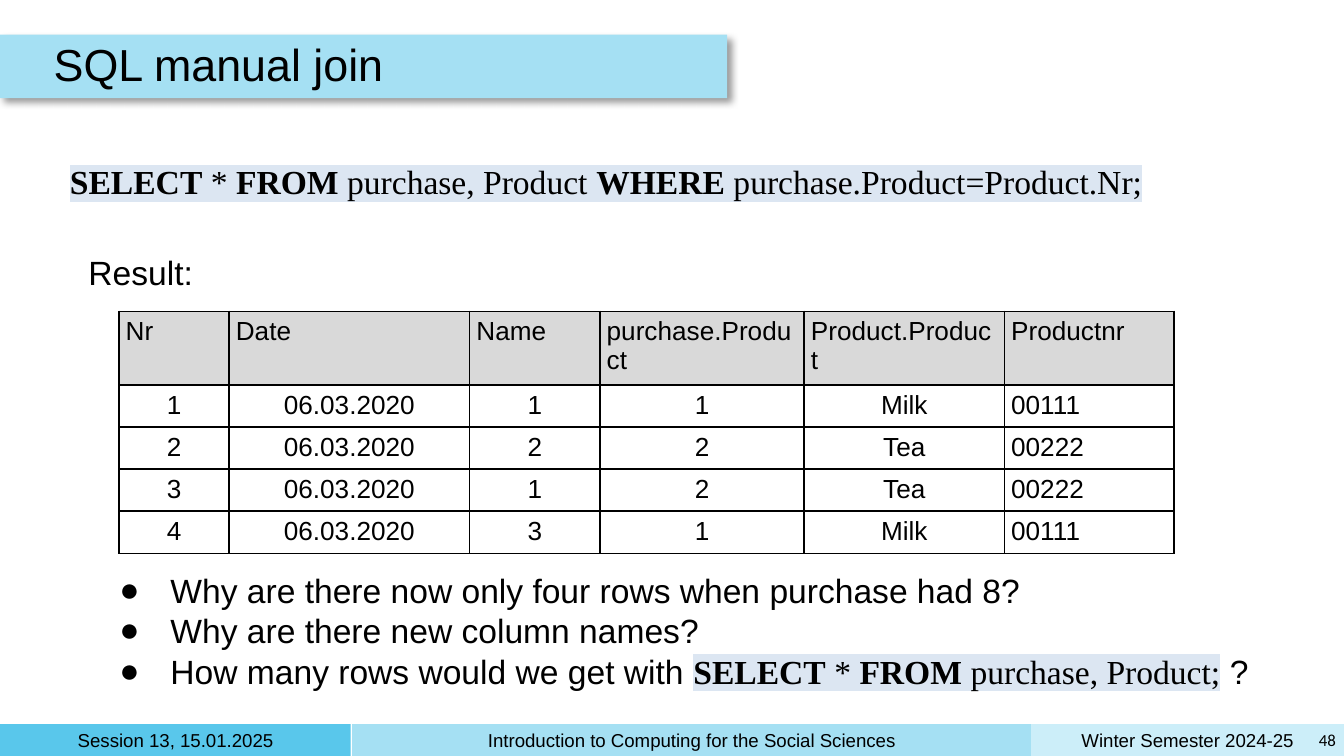
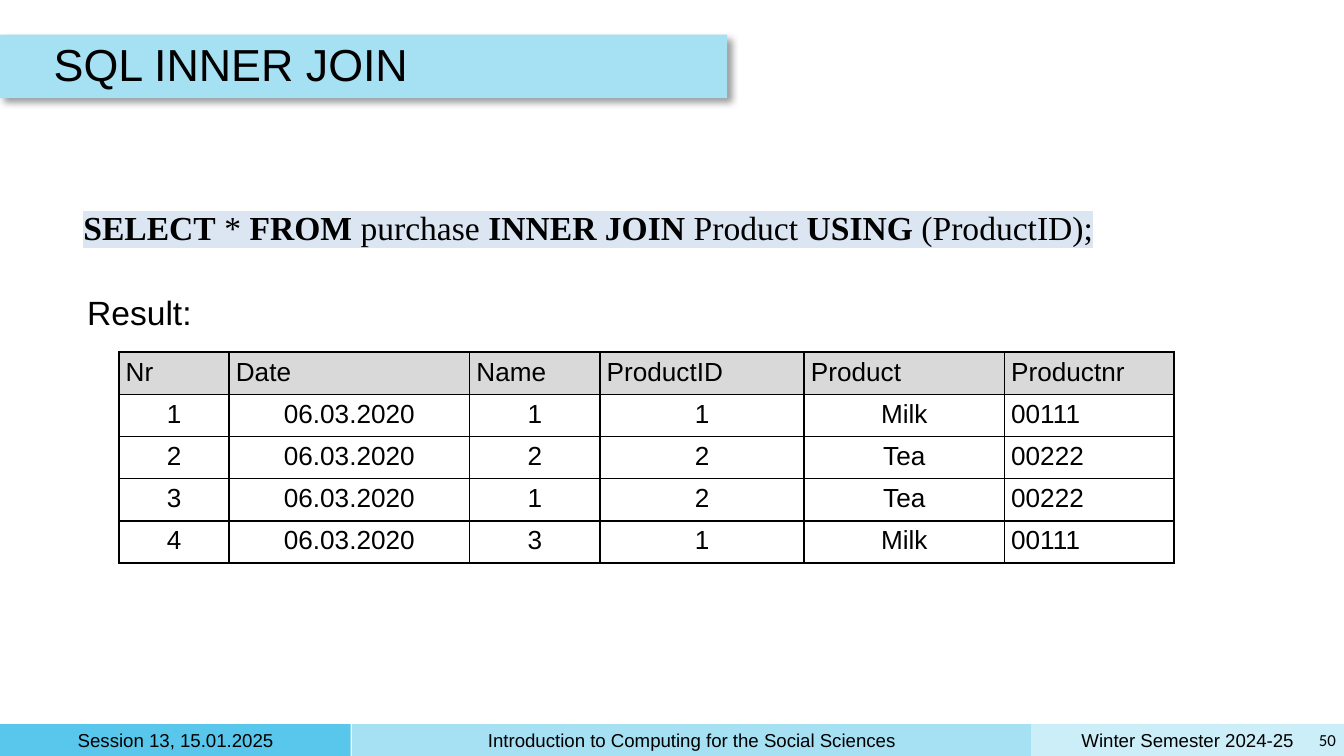
"""Build two lecture slides on joining SQL tables."""

from lxml import etree
from pptx import Presentation
from pptx.dml.color import RGBColor
from pptx.enum.shapes import MSO_SHAPE
from pptx.enum.text import MSO_ANCHOR, MSO_AUTO_SIZE, PP_ALIGN
from pptx.oxml import parse_xml
from pptx.oxml.ns import nsdecls, qn
from pptx.util import Inches, Pt

RECTANGLE = MSO_SHAPE.RECTANGLE
TOP, MIDDLE = MSO_ANCHOR.TOP, MSO_ANCHOR.MIDDLE
LEFT, CENTER, RIGHT = PP_ALIGN.LEFT, PP_ALIGN.CENTER, PP_ALIGN.RIGHT
GROW = MSO_AUTO_SIZE.SHAPE_TO_FIT_TEXT

BLACK = RGBColor(0x00, 0x00, 0x00)
WHITE = RGBColor(0xFF, 0xFF, 0xFF)
HEADER_GRAY = RGBColor(0xD9, 0xD9, 0xD9)
STRONG_BLUE = RGBColor(0x59, 0xC7, 0xEB)
BAND_BLUE = RGBColor(0xA5, 0xE0, 0xF3)
PALE_BLUE = RGBColor(0xCC, 0xEE, 0xF9)
CODE_BLUE = RGBColor(0xDC, 0xE6, 0xF2)

TEXT_FONT, CODE_FONT, NUMBER_FONT = "Arial", "Times New Roman", "Calibri"

SLIDE_WIDTH, SLIDE_HEIGHT = Inches(10), Inches(5.625)
COLUMN, ROW = SLIDE_WIDTH / 100, SLIDE_HEIGHT / 100

FOOTER_TOP, FOOTER_ROWS = 95.8, 4.2
FOOTERS = [
    (76.7, 23.3, PALE_BLUE, "Winter Semester 2024-25"),
    (0, 26.1, STRONG_BLUE, "Session 13, 15.01.2025"),
    (26.2, 50.5, BAND_BLUE, "Introduction to Computing for the Social Sciences"),
]
TABLE_COLUMNS = [8.2, 17.9, 9.7, 15.2, 14.9, 12.6]
TABLE_ROWS = [5.2, 5.3, 5.3, 5.3, 5.3]
PURCHASES = [
    ["1", "06.03.2020", "1", "1", "Milk", "00111"],
    ["2", "06.03.2020", "2", "2", "Tea", "00222"],
    ["3", "06.03.2020", "1", "2", "Tea", "00222"],
    ["4", "06.03.2020", "3", "1", "Milk", "00111"],
]
SLIDES = [
    {
        "title": "SQL manual join",
        "number": "48",
        "query": ["SELECT", " * ", "FROM", " purchase, Product ", "WHERE", " purchase.Product=Product.Nr;"],
        "query_box": (4.7, 20.4, 91.9, 7.1),
        "result_box": (5.6, 31.5, 60.2, 8.9),
        "table_top": 41.2,
        "header": ["Nr", "Date", "Name", "purchase.Product", "Product.Product", "Productnr"],
        "questions": [
            ("Why are there now only four rows when purchase had 8?", [], ""),
            ("Why are there new column names?", [], ""),
            ("How many rows would we get with ", ["SELECT", " * ", "FROM", " purchase, Product;"], " ?"),
        ],
    },
    {
        "title": "SQL INNER JOIN",
        "number": "50",
        "query": ["SELECT", " * ", "FROM", " purchase ", "INNER JOIN", " Product ", "USING", " (ProductID);"],
        "query_box": (5.7, 26.5, 91.9, 12.8),
        "result_box": (5.5, 36.8, 60.2, 8.9),
        "table_top": 46.6,
        "header": ["Nr", "Date", "Name", "ProductID", "Product", "Productnr"],
        "questions": [],
    },
]


def add_text(slide, box, text, size, align=LEFT, anchor=MIDDLE, inset=0.05, font=TEXT_FONT, grow=False):
    """Add a text box placed in grid columns and rows, and return its frame."""
    left, top, width, height = box
    shape = slide.shapes.add_textbox(
        round(left * COLUMN), round(top * ROW), round(width * COLUMN), round(height * ROW))
    text_frame = shape.text_frame
    text_frame.word_wrap = True
    text_frame.vertical_anchor = anchor
    text_frame.margin_left = text_frame.margin_right = Inches(inset)
    text_frame.margin_top = text_frame.margin_bottom = Inches(inset)
    if grow:
        text_frame.auto_size = GROW
    text_frame.text = text
    for paragraph in text_frame.paragraphs:
        paragraph.alignment = align
        for run in paragraph.runs:
            run.font.name, run.font.size = font, Pt(size)
            run.font.color.rgb = BLACK
    return text_frame


def add_code(paragraph, pieces):
    """Append highlighted SQL whose every other piece is a bold keyword."""
    for index, piece in enumerate(pieces):
        run = paragraph.add_run()
        run.text = piece
        run.font.size, run.font.bold = Pt(18), index % 2 == 0
        run.font.color.rgb = BLACK
        highlight = etree.SubElement(run.font._element, qn("a:highlight"))
        etree.SubElement(highlight, qn("a:srgbClr"), val=str(CODE_BLUE))
        run.font.name = CODE_FONT


presentation = Presentation()
presentation.slide_width, presentation.slide_height = SLIDE_WIDTH, SLIDE_HEIGHT

for content in SLIDES:
    slide = presentation.slides.add_slide(presentation.slide_layouts[6])

    bands = [(left, FOOTER_TOP, width, FOOTER_ROWS, color) for left, width, color, _ in FOOTERS]
    bands.append((0, 4.6, 54.1, 8.4, BAND_BLUE))
    for left, top, width, height, color in bands:
        band = slide.shapes.add_shape(
            RECTANGLE, round(left * COLUMN), round(top * ROW), round(width * COLUMN), round(height * ROW))
        band.shadow.inherit = False
        band.fill.solid()
        band.fill.fore_color.rgb = color
        band.line.fill.background()
    band._element.spPr.find(qn("a:effectLst")).append(parse_xml(
        f'<a:outerShdw {nsdecls("a")} blurRad="{Pt(4)}" dist="{Pt(3)}" dir="2700000" algn="tl" rotWithShape="0">'
        f'<a:srgbClr val="{BLACK}"><a:alpha val="40000"/></a:srgbClr></a:outerShdw>'))

    for left, width, _, text in FOOTERS:
        add_text(slide, (left + 0.5, FOOTER_TOP + 0.4, width - 1, FOOTER_ROWS - 0.8), text, 10, CENTER)
    add_text(slide, (97.5, 95.7, 2.4, 4.4), content["number"], 9, RIGHT, font=NUMBER_FONT)
    title = add_text(slide, (3.5, 4.6, 86, 8.4), content["title"], 24)
    title.paragraphs[0].line_spacing = 0.9

    query = add_text(slide, content["query_box"], "", 18, anchor=TOP, grow=True)
    add_code(query.paragraphs[0], content["query"])
    add_text(slide, content["result_box"], "Result:", 18, anchor=TOP, inset=0.1, grow=True)

    table = slide.shapes.add_table(
        len(TABLE_ROWS), len(TABLE_COLUMNS), round(8.85 * COLUMN), round(content["table_top"] * ROW),
        round(sum(TABLE_COLUMNS) * COLUMN), round(sum(TABLE_ROWS) * ROW)).table
    for column, width in zip(table.columns, TABLE_COLUMNS):
        column.width = round(width * COLUMN)
    for row, height in zip(table.rows, TABLE_ROWS):
        row.height = round(height * ROW)
    for row_index, values in enumerate([content["header"]] + PURCHASES):
        for column_index, value in enumerate(values):
            cell = table.cell(row_index, column_index)
            cell.margin_left = cell.margin_right = Inches(0.05)
            cell.margin_top = cell.margin_bottom = Inches(0.04)
            cell.text = value
            paragraph = cell.text_frame.paragraphs[0]
            is_left = row_index == 0 or column_index == len(values) - 1
            paragraph.alignment = LEFT if is_left else CENTER
            font = paragraph.runs[0].font
            font.name, font.size, font.bold = TEXT_FONT, Pt(14), False
            font.color.rgb = BLACK
            properties = cell._tc.get_or_add_tcPr()
            for side in ("lnL", "lnR", "lnT", "lnB"):
                properties.append(parse_xml(
                    f'<a:{side} {nsdecls("a")} w="{Pt(1)}"><a:solidFill>'
                    f'<a:srgbClr val="{BLACK}"/></a:solidFill></a:{side}>'))
            cell.fill.solid()
            cell.fill.fore_color.rgb = HEADER_GRAY if row_index == 0 else WHITE

    if content["questions"]:
        leads = "\n".join(lead for lead, _, _ in content["questions"])
        questions = add_text(slide, (6.7, 73.6, 90.4, 19.7), leads, 18, anchor=TOP, inset=0.1, grow=True)
        for paragraph, (_, code, ending) in zip(questions.paragraphs, content["questions"]):
            properties = paragraph._p.get_or_add_pPr()
            properties.set("marL", str(Inches(0.5)))
            properties.set("indent", str(Inches(-0.38)))
            bullet_color = etree.SubElement(properties, qn("a:buClr"))
            etree.SubElement(bullet_color, qn("a:srgbClr"), val=str(BLACK))
            etree.SubElement(properties, qn("a:buFont"), typeface=TEXT_FONT)
            etree.SubElement(properties, qn("a:buChar"), char="●")
            add_code(paragraph, code)
            if ending:
                run = paragraph.add_run()
                run.text = ending
                run.font.name, run.font.size = TEXT_FONT, Pt(18)
                run.font.color.rgb = BLACK

presentation.save("out.pptx")
